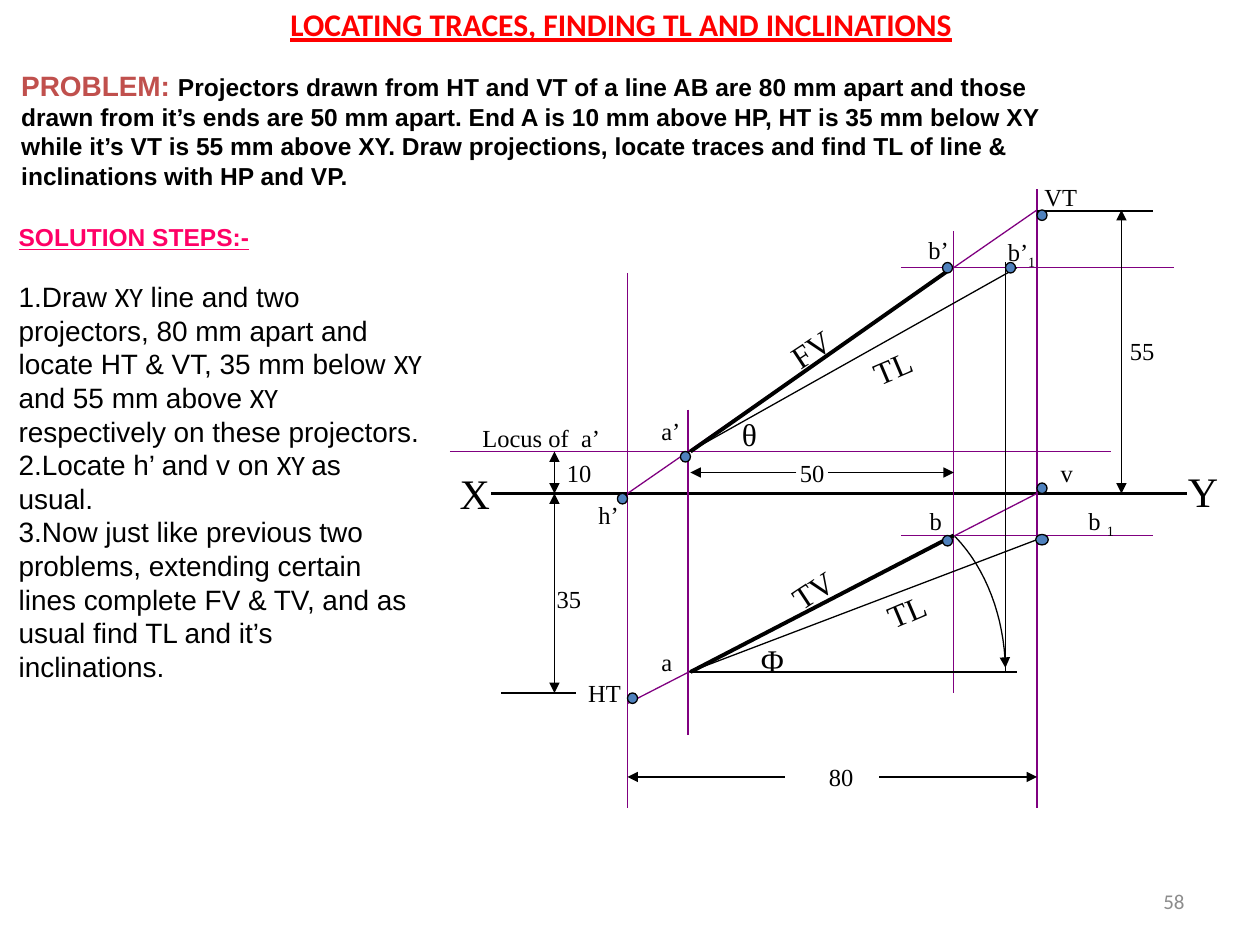
from dataclasses import dataclass

import pptx
import pptx.dml.color
import pptx.enum.shapes
import pptx.enum.text
import pptx.oxml
import pptx.oxml.ns
import pptx.util

COLORS = {"black": "000000", "purple": "800080", "dot": "4F81BD", "red": "FF0000",
          "brick": "C0504D", "pink": "FF0066", "gray": "8C8C8C"}
WIDTH, HEIGHT = pptx.util.Inches(10), pptx.util.Inches(7.5)
COLUMNS, ROWS = 100, 90
HT_COLUMN, VT_COLUMN, A_COLUMN, B_COLUMN, TL_COLUMN = 49.8, 82.3, 54.8, 75.7, 79.8
VT_ROW, B_FRONT_ROW, LOCUS_ROW, XY_ROW, B_TOP_ROW, A_ROW, HT_ROW = 20, 25.5, 43, 47, 51, 64, 66
TIMES, ARIAL, CALIBRI = "Times New Roman", "Arial", "Calibri"


@dataclass
class Line:
    start: tuple[float, float]
    end: tuple[float, float]
    color: str = "black"
    weight: float = 0.75
    arrows: tuple[str, ...] = ()


@dataclass
class Dot:
    column: float
    row: float
    columns: float = 0.8


@dataclass
class Run:
    text: str
    size: float
    name: str = TIMES
    color: str = "black"
    bold: bool = False
    underline: bool = False
    subscript: bool = False


@dataclass
class Label:
    column: float
    row: float
    columns: float
    runs: list[Run]
    rotation: float = 0
    wrap: bool = False


TAIL, BOTH = ("tailEnd",), ("headEnd", "tailEnd")
LINES = [
    Line((39, XY_ROW), (94.2, XY_ROW), weight=1.5),
    Line((HT_COLUMN, 26), (HT_COLUMN, 77), "purple"),
    Line((VT_COLUMN, 18), (VT_COLUMN, 77), "purple"),
    Line((VT_COLUMN, VT_ROW), (HT_COLUMN, XY_ROW), "purple"),
    Line((VT_COLUMN, XY_ROW), (HT_COLUMN, 67), "purple"),
    Line((35.7, LOCUS_ROW), (88.2, LOCUS_ROW), "purple"),
    Line((54.6, 39), (54.6, 70), "purple"),
    Line((B_COLUMN, 22), (B_COLUMN, HT_ROW), "purple"),
    Line((71.5, B_FRONT_ROW), (93.2, B_FRONT_ROW), "purple"),
    Line((71.5, B_TOP_ROW), (91.5, B_TOP_ROW), "purple"),
    Line((75.1, 25.9), (A_COLUMN, LOCUS_ROW), weight=2.25),
    Line((B_COLUMN, B_TOP_ROW), (A_COLUMN, A_ROW), weight=2.25),
    Line((69.8, 74), (VT_COLUMN, 74), arrows=TAIL),
    Line((62.3, 74), (HT_COLUMN, 74), arrows=TAIL),
    Line((65.7, 45), (B_COLUMN, 45), arrows=TAIL),
    Line((63.2, 45), (A_COLUMN, 45), arrows=TAIL),
    Line((A_COLUMN, A_ROW), (80.7, A_ROW)),
    Line((TL_COLUMN, A_ROW), (TL_COLUMN, 25)),
    Line((80.7, 25.5), (54, 43.5)),
    Line((VT_COLUMN, 51.4), (54.7, A_ROW)),
    Line((45.7, HT_ROW), (39.8, HT_ROW)),
    Line((VT_COLUMN, 20.1), (91.5, 20.1)),
    Line((44, LOCUS_ROW), (44, XY_ROW), arrows=BOTH),
    Line((44, XY_ROW), (44, HT_ROW), arrows=BOTH),
    Line((89, VT_ROW), (89, XY_ROW), arrows=BOTH),
]
DOTS = [Dot(HT_COLUMN, HT_ROW), Dot(49, XY_ROW), Dot(VT_COLUMN, VT_ROW), Dot(VT_COLUMN, 46),
        Dot(54, LOCUS_ROW), Dot(74.8, 25), Dot(74.8, B_TOP_ROW), Dot(TL_COLUMN, 25),
        Dot(82.2, 50.9, 1)]
ARC = [(75.8, 51.1), (78.3, 54.2), (79.7, 58.8), (79.8, 63.6)]
LABELS = [
    Label(column, row, columns, [Run(text, size)])
    for text, size, column, row, columns in [
        ("X", 24, 35.5, 43.9, 4.4), ("Y", 24, 93.3, 43.7, 4.5),
        ("HT", 14, 45.7, 64, 4.6), ("VT", 14, 81.9, 16.7, 4.6),
        ("h’", 14, 46.5, 47, 3.6), ("a’", 14, 51.5, 39, 3.5),
        ("v", 14, 83.2, 43, 3), ("b’", 14, 72.7, 21.8, 3.6),
        ("a", 14, 51.5, 61, 2.9), ("b", 14, 72.8, 47.6, 3),
        ("80", 14, 64.8, 72, 4), ("50", 14, 62.5, 43, 4),
        ("10", 14, 44, 43, 4), ("35", 14, 43.2, 55, 4), ("55", 14, 88.7, 31.4, 4),
        ("Locus of  a’", 14, 37.3, 39.7, 11.8),
        ("θ", 18, 57.9, 38.9, 3.3), ("Φ", 18, 59.4, 60.5, 3.9),
    ]
] + [
    Label(column, row, columns, [Run(text, 14), Run("1", 14, subscript=True)])
    for text, column, row, columns in [("b’", 79, 22, 4.3), ("b ", 85.4, 47.6, 4.1)]
] + [
    Label(column, row, 8.3, [Run(text, 18)], rotation, True)
    for text, column, row, rotation in [("TL", 68.2, 31.8, 337), ("TL", 69.3, 55, 337),
                                        ("FV", 61.5, 29.8, 326.6), ("TV", 61.6, 52.8, 326.6)]
]
PROBLEM = [[
    Run("PROBLEM: ", 16, ARIAL, "brick", True),
    Run("Projectors drawn from HT and VT of a line AB are 80 mm apart and those drawn from it’s ends "
        "are 50 mm apart. End A is 10 mm above HP, HT is 35 mm below XY while it’s VT is 55 mm above "
        "XY. Draw projections, locate traces and find TL of line & inclinations with HP and VP.",
        14, ARIAL, bold=True),
]]
STEPS = [
    [("1.Draw ", ARIAL), ("XY", CALIBRI),
     (" line and two projectors, 80 mm apart and locate HT & VT, 35 mm below ", ARIAL),
     ("XY", CALIBRI), (" and 55 mm above ", ARIAL), ("XY", CALIBRI),
     (" respectively on these projectors.", ARIAL)],
    [("2.Locate h’ and v on ", ARIAL), ("XY ", CALIBRI), ("as usual.", ARIAL)],
    [("3.Now just like previous two problems, extending certain lines complete FV & TV, "
      "and as usual find TL and it’s inclinations.", ARIAL)],
]
SOLUTION = [[Run("SOLUTION STEPS:-", 14, ARIAL, "pink", True, True)]] + [
    [Run(text, 16, name) for text, name in step] for step in STEPS]
TITLE = [[Run("LOCATING TRACES, FINDING TL AND INCLINATIONS", 18, CALIBRI, "red", True, True)]]
NUMBER = [[Run("58", 12, CALIBRI, "gray")]]


def across(columns: float) -> int:
    return round(WIDTH * columns / COLUMNS)


def down(rows: float) -> int:
    return round(HEIGHT * rows / ROWS)


def rgb(color: str) -> pptx.dml.color.RGBColor:
    return pptx.dml.color.RGBColor.from_string(COLORS[color])


def set_line(shape, color: str, weight: float, arrows: tuple[str, ...] = ()) -> None:
    shape.line.color.rgb = rgb(color)
    shape.line.width = pptx.util.Pt(weight)
    for arrow in arrows:
        element = pptx.oxml.ns.qn(f"a:{arrow}")
        shape.line._get_or_add_ln().append(shape._element.makeelement(element, {"type": "triangle"}))


def draw_line(slide, line: Line) -> None:
    connector = slide.shapes.add_connector(
        pptx.enum.shapes.MSO_CONNECTOR.STRAIGHT,
        across(line.start[0]), down(line.start[1]), across(line.end[0]), down(line.end[1]))
    set_line(connector, line.color, line.weight, line.arrows)
    properties = connector._element.spPr
    properties.append(properties.makeelement(pptx.oxml.ns.qn("a:effectLst"), {}))


def draw_dot(slide, dot: Dot) -> None:
    shape = slide.shapes.add_shape(pptx.enum.shapes.MSO_SHAPE.OVAL, across(dot.column),
                                   down(dot.row), across(dot.columns), down(1))
    shape.shadow.inherit = False
    shape.fill.solid()
    shape.fill.fore_color.rgb = rgb("dot")
    set_line(shape, "black", 0.75)


def draw_arc(slide, controls: list[tuple[float, float]], steps: int = 16) -> None:
    points = []
    for step in range(steps + 1):
        t = step / steps
        weights = ((1 - t) ** 3, 3 * t * (1 - t) ** 2, 3 * t ** 2 * (1 - t), t ** 3)
        column, row = (sum(w * point[axis] for w, point in zip(weights, controls)) for axis in (0, 1))
        points.append((across(column), down(row)))
    builder = slide.shapes.build_freeform(*points[0])
    builder.add_line_segments(points[1:], close=False)
    shape = builder.convert_to_shape()
    shape.shadow.inherit = False
    shape.fill.background()
    set_line(shape, "black", 0.75, TAIL)


def draw_text(slide, box: tuple[float, float, float, float], paragraphs: list[list[Run]],
              wrap: bool = True, align: str = "LEFT", anchor: str = "TOP", gap: float = 0):
    column, row, columns, rows = box
    shape = slide.shapes.add_textbox(across(column), down(row), across(columns), down(rows))
    frame = shape.text_frame
    frame.word_wrap = wrap
    frame.vertical_anchor = pptx.enum.text.MSO_ANCHOR[anchor]
    for index, runs in enumerate(paragraphs):
        paragraph = frame.add_paragraph() if index else frame.paragraphs[0]
        paragraph.alignment = pptx.enum.text.PP_ALIGN[align]
        if index == 1 and gap:
            paragraph.space_before = pptx.util.Pt(gap)
        for item in runs:
            run = paragraph.add_run()
            run.text = item.text
            formats = {"name": item.name, "size": pptx.util.Pt(item.size),
                       "bold": item.bold, "underline": item.underline}
            for attribute, value in formats.items():
                setattr(run.font, attribute, value)
            run.font.color.rgb = rgb(item.color)
            if item.subscript:
                run._r.get_or_add_rPr().set("baseline", "-25000")
    return shape


def draw_label(slide, label: Label) -> None:
    rows = {14: 4, 18: 4.8, 24: 6}[label.runs[0].size]
    shape = draw_text(slide, (label.column, label.row, label.columns, rows), [label.runs], label.wrap)
    shape.rotation = label.rotation


def main() -> None:
    presentation = pptx.Presentation()
    presentation.slide_width, presentation.slide_height = WIDTH, HEIGHT
    slide = presentation.slides.add_slide(presentation.slide_layouts[6])
    for line in LINES:
        draw_line(slide, line)
    draw_arc(slide, ARC)
    for dot in DOTS:
        draw_dot(slide, dot)
    for label in LABELS:
        draw_label(slide, label)
    draw_text(slide, (0.7, 5.9, 86.2, 13), PROBLEM)
    draw_text(slide, (0.5, 20.6, 34, 45.6), SOLUTION, gap=16)
    draw_text(slide, (71.7, 83.4, 23.3, 4.8), NUMBER, align="RIGHT", anchor="MIDDLE")
    draw_text(slide, (4.6, -0.1, 89.4, 4.8), TITLE, align="CENTER")
    presentation.save("out.pptx")


if __name__ == "__main__":
    main()
